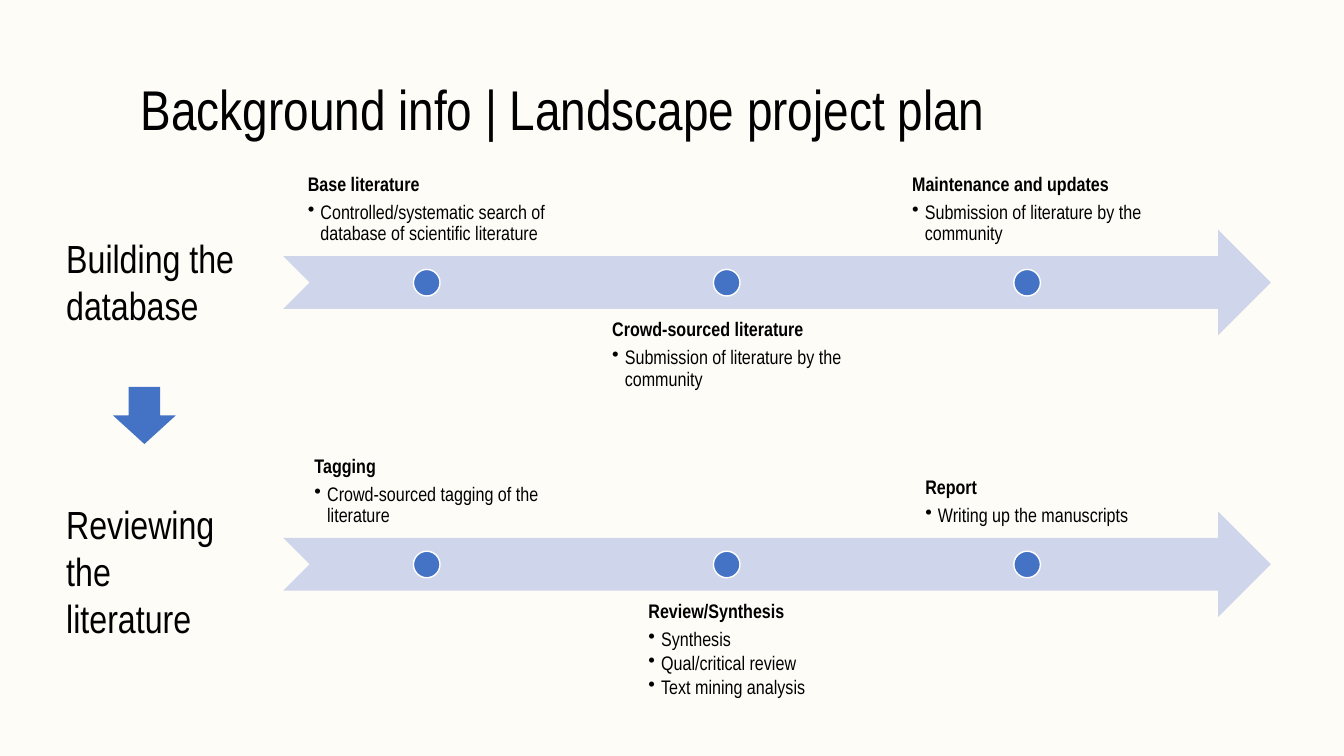
import dataclasses

import lxml.etree
import pptx
import pptx.dml.color
import pptx.enum.shapes
import pptx.enum.text
import pptx.oxml.ns
import pptx.util

Cm = pptx.util.Cm
Pt = pptx.util.Pt
Kind = pptx.enum.shapes.MSO_SHAPE
Anchor = pptx.enum.text.MSO_ANCHOR


@dataclasses.dataclass(frozen=True)
class Theme:
    font: str = "Arial Narrow"
    paper: str = "FEFCF7"
    ink: str = "000000"
    band: str = "CFD5EA"
    accent: str = "4472C4"
    rim: str = "FFFFFF"
    title: int = 40
    label: int = 28
    detail: int = 14


@dataclasses.dataclass(frozen=True)
class Box:
    left: float
    top: float
    width: float
    height: float

    def inner(self, left, top, width, height):
        return Box(self.left + left * self.width, self.top + top * self.height,
                   width * self.width, height * self.height)

    def lengths(self):
        return [Cm(round(n, 2)) for n in (self.left, self.top, self.width, self.height)]


THEME = Theme()
INSET = Cm(0.27)
INDENT = Cm(0.32)

LANES = [
    (3.79, [
        ("Base literature", ["Controlled/systematic search of database of scientific literature"]),
        ("Crowd-sourced literature", ["Submission of literature by the community"]),
        ("Maintenance and updates", ["Submission of literature by the community"]),
    ]),
    (10.89, [
        ("Tagging", ["Crowd-sourced tagging of the literature"]),
        ("Review/Synthesis", ["Synthesis", "Qual/critical review", "Text mining analysis"]),
        ("Report", ["Writing up the manuscripts"]),
    ]),
]

LABELS = [
    (Box(1.42, 5.79, 4.85, 2.64), "Building the database"),
    (Box(1.42, 12.47, 4.85, 3.84), "Reviewing the literature"),
]


def colour(value):
    return pptx.dml.color.RGBColor.from_string(value)


def apply(target, formats):
    for name, value in formats.items():
        setattr(target, name, value)


def add_text_frame(shapes, box, formats):
    frame = shapes.add_textbox(*box.lengths()).text_frame
    apply(frame, {"word_wrap": True, **formats})
    return frame


def write_para(para, text, size, bold=False, **formats):
    apply(para, formats)
    span = para.add_run()
    span.text = text
    apply(span.font, {"name": THEME.font, "size": Pt(size), "bold": bold})
    span.font.color.rgb = colour(THEME.ink)


def add_bullet(para):
    properties = para._p.get_or_add_pPr()
    properties.set("marL", str(INDENT))
    properties.set("indent", str(-INDENT))
    bullet = lxml.etree.SubElement(properties, pptx.oxml.ns.qn("a:buChar"))
    bullet.set("char", "•")


def add_filled(shapes, kind, box, fill, line=None):
    shape = shapes.add_shape(kind, *box.lengths())
    shape.shadow.inherit = False
    shape.fill.solid()
    shape.fill.fore_color.rgb = colour(fill)
    if line:
        shape.line.color.rgb = colour(line)
        shape.line.width = Pt(1)
    else:
        shape.line.fill.background()


def add_title(page, box):
    frame = add_text_frame(page.shapes, box, {"vertical_anchor": Anchor.MIDDLE})
    write_para(frame.paragraphs[0], "Background info | Landscape project plan",
               THEME.title, line_spacing=0.9)


def add_label(page, box, text):
    frame = add_text_frame(page.shapes, box, {
        "auto_size": pptx.enum.text.MSO_AUTO_SIZE.SHAPE_TO_FIT_TEXT})
    write_para(frame.paragraphs[0], text, THEME.label, space_after=Pt(6))


def add_milestone_text(shapes, box, anchor, heading, points):
    frame = add_text_frame(shapes, box, {
        "vertical_anchor": anchor, "margin_left": INSET, "margin_right": INSET,
        "margin_top": INSET, "margin_bottom": INSET})
    frame._txBody.bodyPr.set("anchorCtr", "1")
    write_para(frame.paragraphs[0], heading, THEME.detail, True,
               line_spacing=0.9, space_after=Pt(4.9))
    for point in points:
        para = frame.add_paragraph()
        write_para(para, point, THEME.detail, level=1,
                   line_spacing=0.9, space_after=Pt(2.1))
        add_bullet(para)


def add_lane(page, box, milestones):
    shapes = page.shapes.add_group_shape().shapes
    add_filled(shapes, Kind.NOTCHED_RIGHT_ARROW, box.inner(0, 0.3, 1, 0.4), THEME.band)
    dot = 0.1 * box.height
    for index, (heading, points) in enumerate(milestones):
        below = index % 2 == 1
        column = box.inner(0.304 * index, 0, 0.29, 1)
        add_milestone_text(shapes, column.inner(0, 0.6 if below else 0, 1, 0.4),
                           Anchor.TOP if below else Anchor.BOTTOM, heading, points)
        spot = Box(column.left + (column.width - dot) / 2,
                   column.top + (column.height - dot) / 2, dot, dot)
        add_filled(shapes, Kind.OVAL, spot, THEME.accent, THEME.rim)


def build_plan(page):
    page.background.fill.solid()
    page.background.fill.fore_color.rgb = colour(THEME.paper)
    add_title(page, Box(3.3, 1.9, 24.36, 1.88))
    for top, milestones in LANES:
        add_lane(page, Box(7.14, top, 24.89, 6.66), milestones)
    add_filled(page.shapes, Kind.DOWN_ARROW, Box(2.85, 9.75, 1.58, 1.44), THEME.accent)
    for box, text in LABELS:
        add_label(page, box, text)


def main():
    deck = pptx.Presentation()
    apply(deck, {"slide_width": Cm(33.87), "slide_height": Cm(19.05)})
    build_plan(deck.slides.add_slide(deck.slide_layouts[6]))
    deck.save("out.pptx")


if __name__ == "__main__":
    main()
